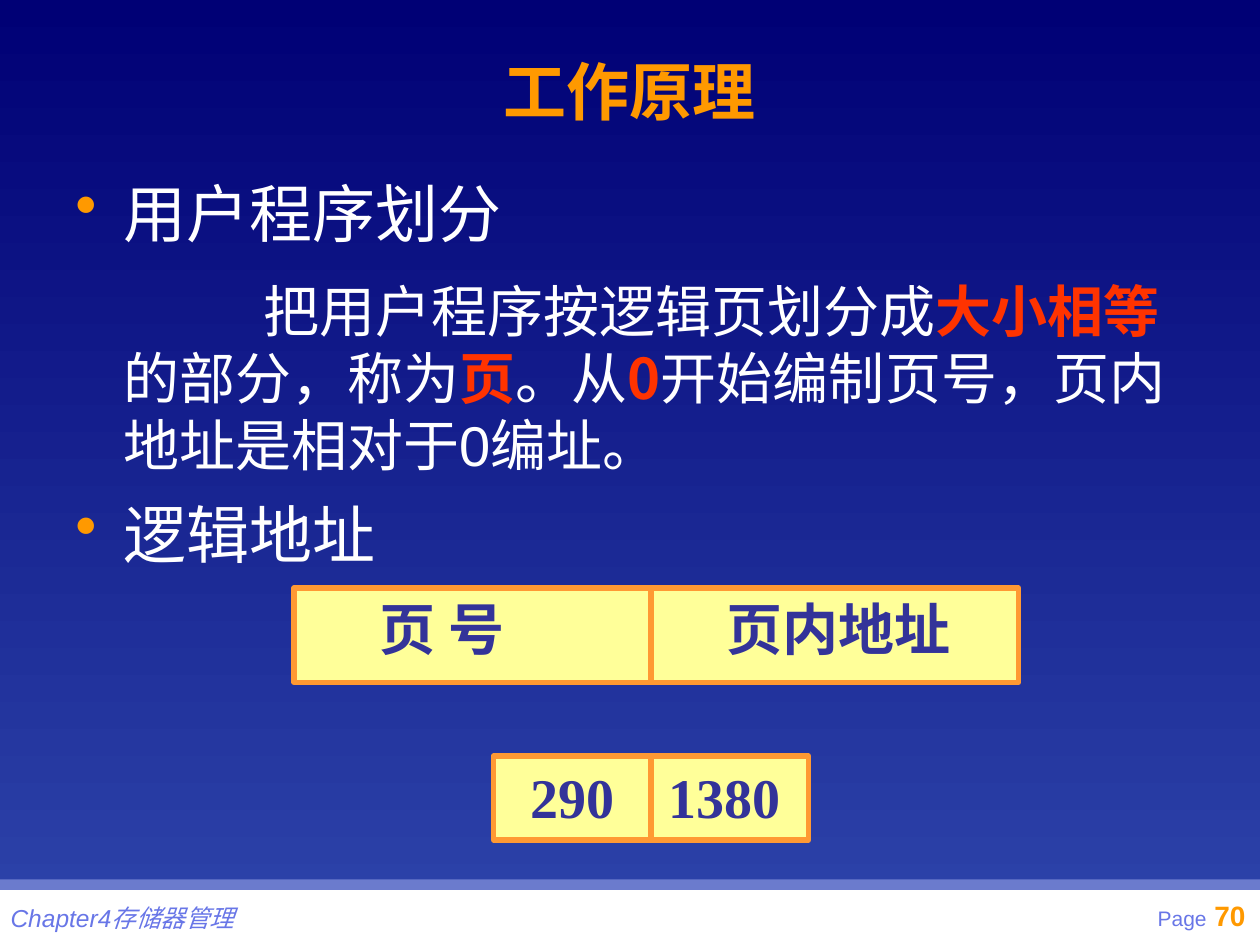
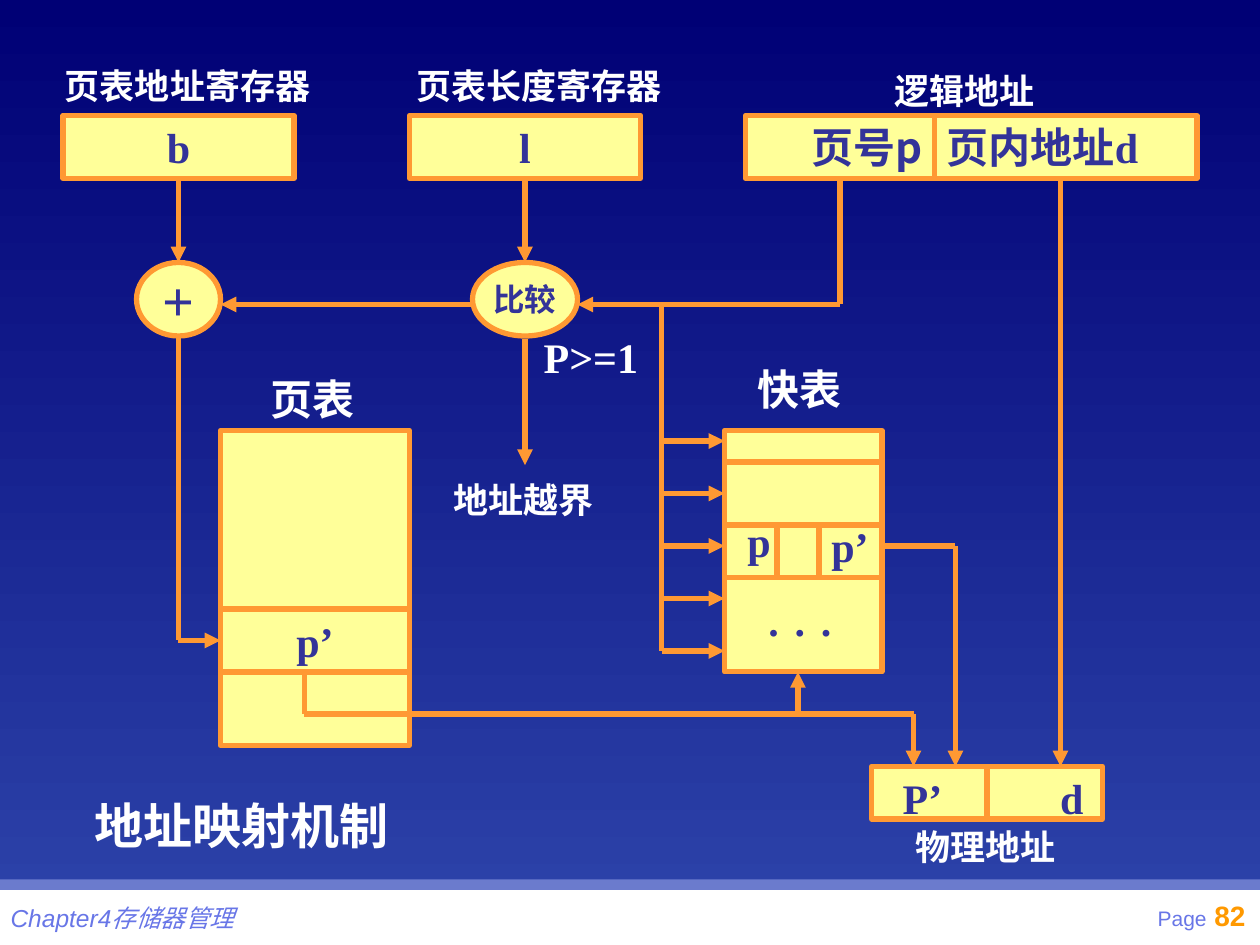
import pptx
import pptx.util
import pptx.dml.color
import pptx.enum.shapes
import pptx.enum.text
import pptx.oxml
import pptx.oxml.ns

RGBColor = pptx.dml.color.RGBColor
NIGHT = RGBColor(0x00, 0x00, 0x75)
ROYAL = RGBColor(0x2E, 0x45, 0xAB)
BAND = RGBColor(0x6B, 0x7B, 0xCD)
FOOTER = RGBColor(0x68, 0x76, 0xE7)
WHITE = RGBColor(0xFF, 0xFF, 0xFF)
AMBER = RGBColor(0xFF, 0x99, 0x00)
ORANGE = RGBColor(0xFF, 0x99, 0x33)
CREAM = RGBColor(0xFF, 0xFF, 0x99)
INDIGO = RGBColor(0x33, 0x33, 0x99)
RED = RGBColor(0xFF, 0x33, 0x00)

CJK = "Noto Sans CJK SC"
SERIF = "Times New Roman"
SANS = "Arial"
NAMESPACE = pptx.oxml.ns.nsdecls("a")
LATIN = pptx.oxml.ns.qn("a:latin")

RECTANGLE = pptx.enum.shapes.MSO_SHAPE.RECTANGLE
OVAL = pptx.enum.shapes.MSO_SHAPE.OVAL
STRAIGHT = pptx.enum.shapes.MSO_CONNECTOR.STRAIGHT
LEFT = pptx.enum.text.PP_ALIGN.LEFT
CENTER = pptx.enum.text.PP_ALIGN.CENTER
RIGHT = pptx.enum.text.PP_ALIGN.RIGHT
TOP = pptx.enum.text.MSO_ANCHOR.TOP
MIDDLE = pptx.enum.text.MSO_ANCHOR.MIDDLE

presentation = pptx.Presentation()
presentation.slide_width = pptx.util.Inches(10)
presentation.slide_height = pptx.util.Inches(7.5)
COLUMN = presentation.slide_width / 120
ROW = presentation.slide_height / 90


def add_box(slide, place, paragraphs=(), kind=None, fill=None, outline=None,
            align=LEFT, anchor=TOP, wrap=True, inset=True):
    left, top, width, height = place
    area = [int(left * COLUMN), int(top * ROW), int(width * COLUMN), int(height * ROW)]
    if kind is None:
        shape = slide.shapes.add_textbox(*area)
    else:
        shape = slide.shapes.add_shape(kind, *area)
        shape.shadow.inherit = False
        shape.fill.solid()
        shape.fill.fore_color.rgb = fill
        if outline is None:
            shape.line.fill.background()
        else:
            shape.line.color.rgb = outline
            shape.line.width = pptx.util.Pt(3)
    frame = shape.text_frame
    frame.word_wrap = wrap
    frame.vertical_anchor = anchor
    if not inset:
        for side in ("left", "top", "right", "bottom"):
            setattr(frame, "margin_" + side, 0)
    for index, runs in enumerate(paragraphs):
        paragraph = frame.add_paragraph() if index else frame.paragraphs[0]
        paragraph.alignment = align
        for text, size, name, color, style in runs:
            run = paragraph.add_run()
            run.text = text
            run.font.color.rgb = color
            for key, value in {"size": pptx.util.Pt(size), "name": name, **style}.items():
                setattr(run.font, key, value)
            run.font._element.find(LATIN).addnext(
                pptx.oxml.parse_xml(f'<a:ea {NAMESPACE} typeface="{CJK}"/>'))
    return shape


def add_line(slide, start, end, arrow=False):
    line = slide.shapes.add_connector(
        STRAIGHT, int(start[0] * COLUMN), int(start[1] * ROW),
        int(end[0] * COLUMN), int(end[1] * ROW))
    line.line.color.rgb = ORANGE
    line.line.width = pptx.util.Pt(3)
    if arrow:
        line.line._get_or_add_ln().append(
            pptx.oxml.parse_xml(f'<a:tailEnd {NAMESPACE} type="triangle"/>'))
    line._element.spPr.append(pptx.oxml.parse_xml(f"<a:effectLst {NAMESPACE}/>"))


BOLD = {"bold": True}
PLAIN = {"bold": False}
BOXED = {"kind": RECTANGLE, "fill": CREAM, "outline": ORANGE}
CENTERED = {"align": CENTER, "anchor": MIDDLE}

background = presentation.slide_master.background.fill
background.gradient()
background.gradient_angle = 270
for stop, color, position in zip(background.gradient_stops, (NIGHT, ROYAL), (0, 1)):
    stop.color.rgb = color
    stop.position = position

slides = []
for page in ("70", "82"):
    slide = presentation.slides.add_slide(presentation.slide_layouts[6])
    add_box(slide, (0, 84.5, 120, 5.5), kind=RECTANGLE, fill=WHITE)
    add_box(slide, (0, 83.75, 120, 1), kind=RECTANGLE, fill=BAND)
    add_box(slide, (75.8, 85, 44, 4.8), [[
        ("Page", 12, SANS, FOOTER, PLAIN),
        (" ", 16, SANS, AMBER, PLAIN),
        (page, 16, SANS, AMBER, BOLD)]], align=RIGHT)
    chapter = add_box(slide, (1, 86, 26, 2.8), [[
        ("Chapter4存储器管理", 14, SANS, FOOTER, {"italic": True})]], inset=False)
    chapter_font = chapter.text_frame.paragraphs[0].runs[0].font
    chapter_font._element.find(LATIN).addprevious(pptx.oxml.parse_xml(
        f'<a:effectLst {NAMESPACE}><a:outerShdw dist="17961" dir="2700000">'
        '<a:srgbClr val="808080"/></a:outerShdw></a:effectLst>'))
    slides.append(slide)
principle, mapping = slides

title = add_box(principle, (6, 3, 108, 12.4),
                [[("工作原理", 36, CJK, AMBER, BOLD)]], **CENTERED)
title.text_frame.paragraphs[0].line_spacing = 0.85

body = add_box(principle, (6, 16, 108, 64.4), [
    [("用户程序划分", 36, CJK, WHITE, PLAIN)],
    [("把用户程序按逻辑页划分成", 32, CJK, WHITE, PLAIN),
     ("大小相等", 32, CJK, RED, BOLD),
     ("的部分，称为", 32, CJK, WHITE, PLAIN),
     ("页", 32, CJK, RED, BOLD),
     ("。从", 32, CJK, WHITE, PLAIN),
     ("0", 32, CJK, RED, BOLD),
     ("开始编制页号，页内地址是相对于", 32, CJK, WHITE, PLAIN),
     ("0", 32, SANS, WHITE, PLAIN),
     ("编址。", 32, CJK, WHITE, PLAIN)],
    [("逻辑地址", 36, CJK, WHITE, PLAIN)]])
for paragraph, bulleted in zip(body.text_frame.paragraphs, (True, False, True)):
    properties = paragraph._p.get_or_add_pPr()
    properties.set("marL", str(pptx.util.Inches(0.38)))
    properties.set("indent", str(pptx.util.Inches(-0.38 if bulleted else 1.11)))
    paragraph.space_after = pptx.util.Pt(11.2 if bulleted else 10)
    if bulleted:
        properties.append(pptx.oxml.parse_xml(
            f'<a:buClr {NAMESPACE}><a:srgbClr val="{AMBER}"/></a:buClr>'))
        properties.append(pptx.oxml.parse_xml(f'<a:buChar {NAMESPACE} char="•"/>'))
    else:
        paragraph.space_before = pptx.util.Pt(4)

for left, top, width, height in ((28, 56, 69, 9), (47, 72, 30, 8)):
    add_box(principle, (left, top, width, height), **BOXED)
    add_line(principle, (62, top), (62, top + height))
for text, left, top, width, name, align in (
        ("页 号", 35, 56, 20, CJK, LEFT),
        ("页内地址", 68, 56, 26, SERIF, LEFT),
        ("290", 49, 72, 11, SERIF, CENTER),
        ("1380", 62, 72, 14, SERIF, CENTER)):
    add_box(principle, (left, top, width, 7.7),
            [[(text, 32, name, INDIGO, BOLD)]], align=align)

for text, size, kind, place in (
        ("b", 24, RECTANGLE, (6, 11, 22, 6)),
        ("l", 24, RECTANGLE, (39, 11, 22, 6)),
        ("", 24, RECTANGLE, (71, 11, 43, 6)),
        ("+", 32, OVAL, (13, 25, 8, 7)),
        ("比较", 18, OVAL, (45, 25, 10, 7)),
        ("", 24, RECTANGLE, (21, 41, 18, 30)),
        ("", 24, RECTANGLE, (69, 41, 15, 23)),
        ("", 24, RECTANGLE, (83, 73, 22, 5))):
    runs = [[(text, size, SERIF, INDIGO, BOLD)]] if text else ()
    add_box(mapping, place, runs, kind=kind, fill=CREAM, outline=ORANGE,
            wrap=False, **CENTERED)

dividers = [((21, row), (39, row)) for row in (58, 64)]
dividers += [((69, row), (84, row)) for row in (44, 50, 55)]
dividers += [((column, 50), (column, 55)) for column in (74, 78)]
dividers += [((89, 11), (89, 17)), ((94, 73), (94, 78))]
for start, end in dividers:
    add_line(mapping, start, end)

arrow_routes = [
    [(17, 17), (17, 25)],
    [(17, 32), (17, 61), (21, 61)],
    [(50, 17), (50, 25)],
    [(50, 32.3), (50, 44.3)],
    [(45, 29), (21, 29)],
    [(80, 17), (80, 29), (55, 29)],
    [(29, 64), (29, 68), (87, 68), (87, 73)],
    [(76, 68), (76, 64)],
    [(84, 52), (91, 52), (91, 73)],
    [(101, 17), (101, 73)]]
arrow_routes += [[(63, 42 + 5 * step), (69, 42 + 5 * step)] for step in range(5)]
add_line(mapping, (63, 29), (63, 62))
for route in arrow_routes:
    for start, end in zip(route, route[1:]):
        add_line(mapping, start, end, arrow=end == route[-1])

for text, size, color, left, top, width in (
        ("页表地址寄存器", 20, WHITE, 5, 5.6, 28),
        ("页表长度寄存器", 20, WHITE, 38.5, 5.6, 28),
        ("逻辑地址", 20, WHITE, 84, 6, 19),
        ("页表", 24, WHITE, 24.6, 35, 13.4),
        ("快表", 24, WHITE, 71, 34, 11),
        ("P>=1", 24, WHITE, 50.6, 31, 13),
        ("地址越界", 20, WHITE, 42, 45, 18),
        ("物理地址", 20, WHITE, 86, 78, 18),
        ("p", 24, INDIGO, 70, 48.5, 5),
        ("p’", 24, INDIGO, 78, 49, 7),
        ("P’", 24, INDIGO, 84.8, 73, 7),
        ("d", 24, INDIGO, 99.8, 73, 5),
        (".", 24, INDIGO, 72, 56, 4),
        (".", 24, INDIGO, 74.5, 56, 4),
        (".", 24, INDIGO, 77, 56, 4)):
    add_box(mapping, (left, top, width, 6), [[(text, size, SERIF, color, BOLD)]])

add_box(mapping, (21, 58, 18, 6), [[("p’", 24, SERIF, INDIGO, BOLD)]], **CENTERED)
add_box(mapping, (71, 11, 18, 6), [[("页号p", 24, CJK, INDIGO, BOLD)]],
        align=RIGHT, anchor=MIDDLE)
add_box(mapping, (89, 11, 25, 6), [[
    ("页内地址", 24, CJK, INDIGO, BOLD), ("d", 24, SERIF, INDIGO, BOLD)]], anchor=MIDDLE)
caption = add_box(mapping, (3, 76, 40, 6),
                  [[("地址映射机制", 28, CJK, WHITE, BOLD)]], align=CENTER)
caption.text_frame.paragraphs[0].line_spacing = 0.85

presentation.save("out.pptx")
